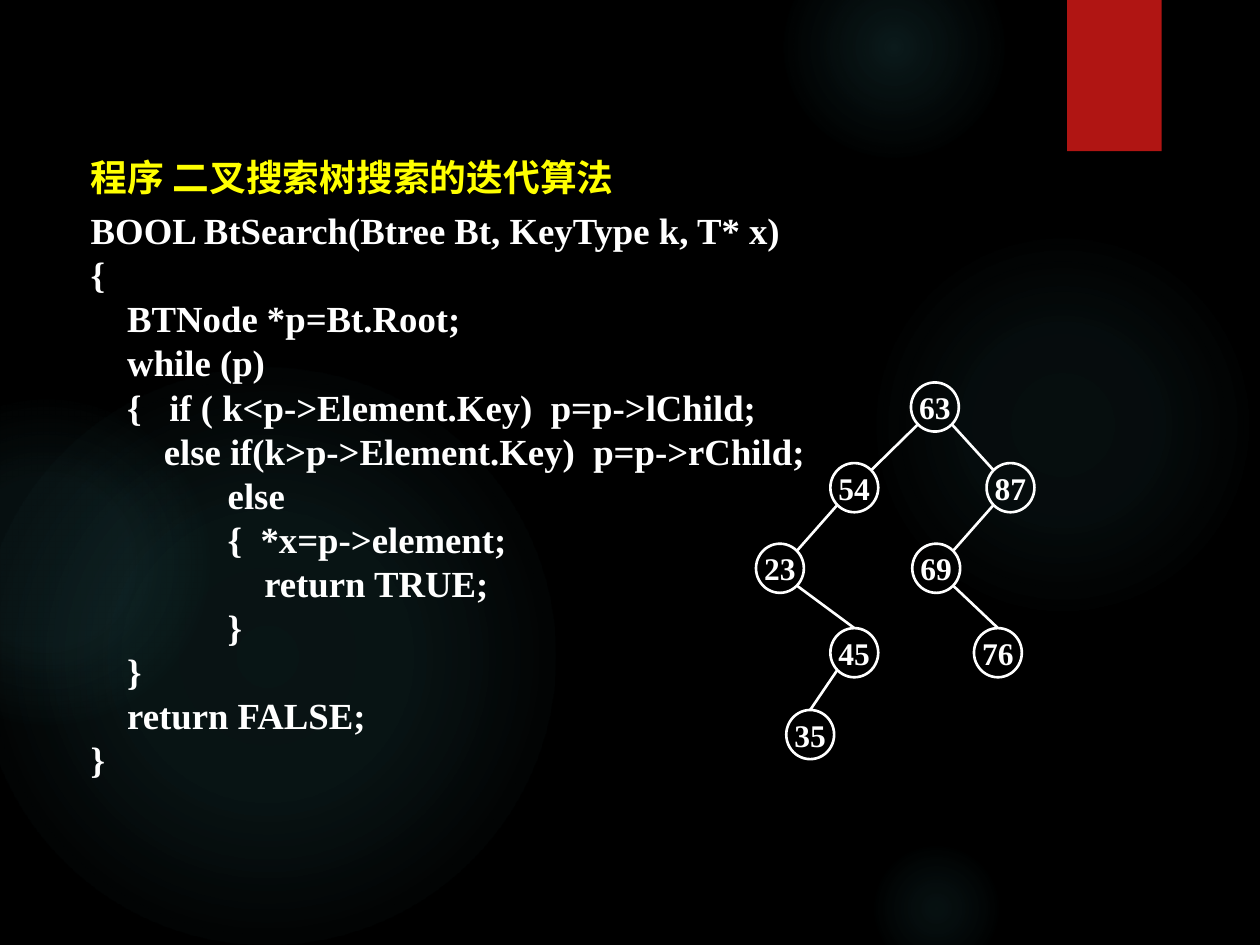
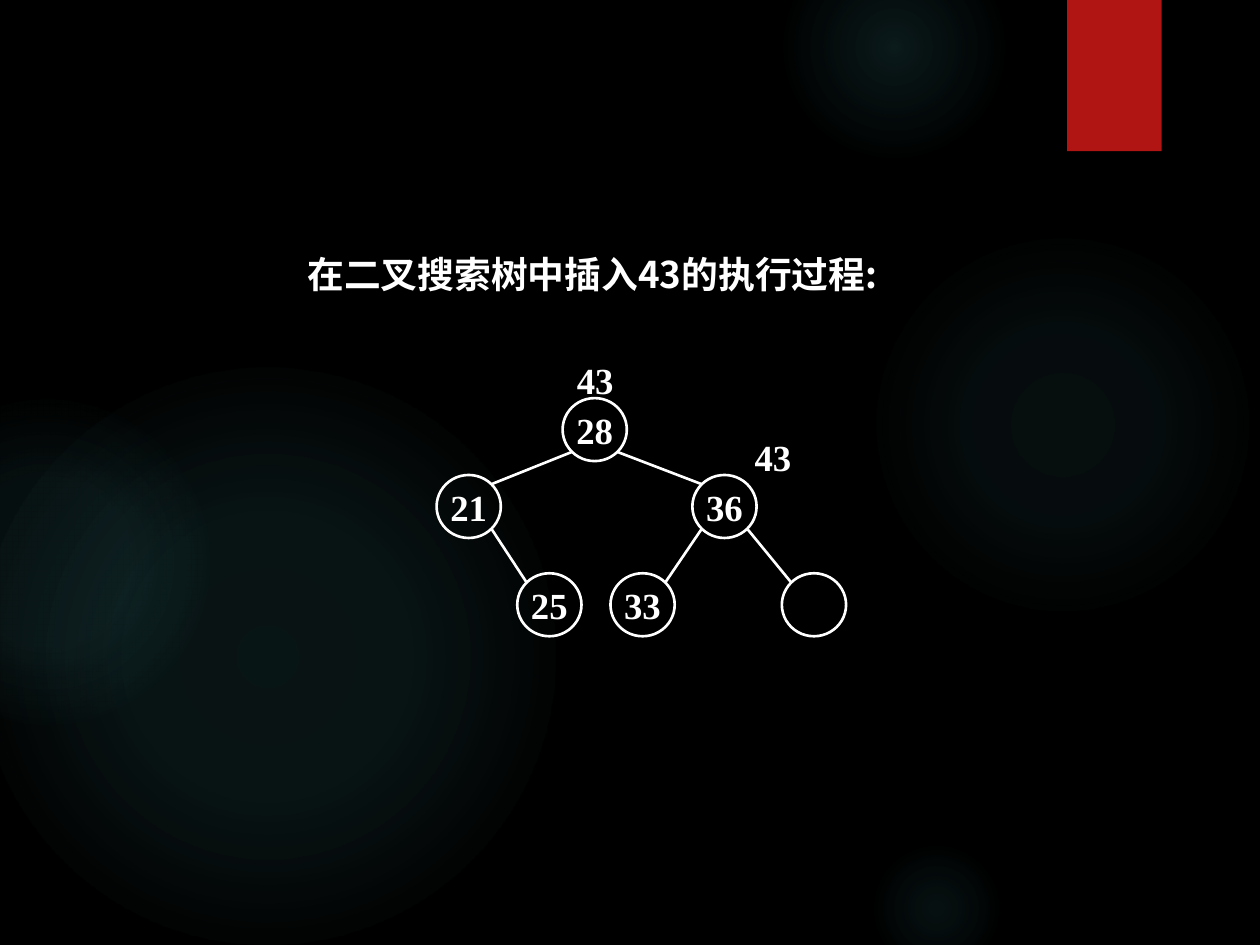
from math import sqrt

from lxml import etree
from pptx import Presentation
from pptx.dml.color import RGBColor
from pptx.enum.shapes import MSO_CONNECTOR as Link, MSO_SHAPE as Preset
from pptx.enum.text import MSO_ANCHOR as Anchor, MSO_AUTO_SIZE as Fit, PP_ALIGN as Align
from pptx.oxml import parse_xml
from pptx.oxml.ns import nsdecls, qn
from pptx.util import Inches, Pt

# ---- Shared look ----
WIDTH, HEIGHT = 10, 7.5
BLACK, WHITE, YELLOW, RED, TEAL = "000000", "FFFFFF", "FFFF00", "B01513", "50B9C1"
SERIF, HAN = "Times New Roman", "Noto Sans CJK SC"
TEXT_SIZE, LINE_PITCH = 21, 25.2
INDENT = 0.29  # one code level, four spaces wide
DIAGONAL = sqrt(0.5)

# left, top, diameter, then (position %, opacity %) of each stop
GLOWS = [
    (6.89, 1.83, 3.08, [(0, 7), (36, 6), (69, 0)]),
    (6.22, -0.5, 1.75, [(0, 14), (36, 7), (73, 0)]),
    (6.89, 6.67, 1.08, [(0, 9), (36, 5), (66, 0)]),
    (-0.17, 2.92, 4.58, [(0, 11), (36, 10), (75, 0)]),
    (-0.92, 3.17, 2.58, [(0, 8), (36, 8), (72, 0)]),
]
RIBBON = (8.47, 0, 0.75, 1.2)

# ---- Slide 1: iterative search ----
SEARCH_TITLE = "程序 二叉搜索树搜索的迭代算法"
SEARCH_CODE = [  # indent level, line
    (1, "BOOL BtSearch(Btree Bt, KeyType k, T* x)"),
    (1, "{"),
    (2, "BTNode *p=Bt.Root;"),
    (2, "while (p)"),
    (2, "{   if ( k<p->Element.Key)  p=p->lChild;"),
    (3, "else if(k>p->Element.Key)  p=p->rChild;"),
    (4.75, "else"),
    (4.75, "{  *x=p->element;"),
    (5.75, "return TRUE;"),
    (4.75, "}"),
    (2, "}"),
    (2, "return FALSE;"),
    (1, "}"),
]
# nodes: key -> (centre x, row); edges: parent, child, where the child is met
SEARCH_TREE = {
    "size": (0.38, 0.39), "font": 18,
    "rows": [3.23, 3.87, 4.51, 5.18, 5.83],
    "nodes": {"63": (7.42, 0), "54": (6.78, 1), "87": (8.02, 1), "23": (6.19, 2),
              "69": (7.43, 2), "45": (6.78, 3), "76": (7.92, 3), "35": (6.43, 4)},
    "edges": [("63", "54", "side"), ("63", "87", "side"), ("54", "23", "side"),
              ("87", "69", "side"), ("23", "45", "top"), ("69", "76", "top"),
              ("45", "35", "top")],
}

# ---- Slide 2: insertion ----
INSERT_TITLE = "在二叉搜索树中插入43的执行过程:"
INSERT_TREE = {
    "size": (0.51, 0.5), "font": TEXT_SIZE,
    "rows": [3.41, 4.02, 4.8],
    "nodes": {"28": (4.72, 0), "21": (3.72, 1), "36": (5.75, 1),
              "25": (4.36, 2), "33": (5.1, 2), "": (6.46, 2)},
    "edges": [("28", "21", "side"), ("28", "36", "side"), ("21", "25", "side"),
              ("36", "33", "side"), ("36", "", "side")],
}
INSERTED_KEY = "43"
KEY_STOPS = [(4.48, 2.79), (5.89, 3.4)]


def rgb(color):
    return RGBColor.from_string(color)


def box(*lengths):
    return [Inches(length) for length in lengths]


def write(paragraph, text, size=TEXT_SIZE, color=WHITE, font=SERIF):
    run = paragraph.add_run()
    run.text = text
    run.font.size, run.font.bold, run.font.name = Pt(size), True, font
    run.font.color.rgb = rgb(color)
    etree.SubElement(run.font._element, qn("a:ea")).set("typeface", HAN)


def place(holder, left, top, width, height):
    """Move a placeholder and return its top-anchored text frame."""
    holder.left, holder.top, holder.width, holder.height = box(left, top, width, height)
    frame = holder.text_frame
    frame.word_wrap, frame.auto_size = True, Fit.NONE
    frame.vertical_anchor = Anchor.TOP
    return frame


def add_title(slide, text, area, level=0, **style):
    heading = place(slide.shapes.title, *area).paragraphs[0]
    heading.alignment = Align.LEFT
    heading._p.get_or_add_pPr().set("indent", str(Inches(level * INDENT)))
    write(heading, text, **style)


def add_code(holder, lines, area):
    frame = place(holder, *area)
    for number, (level, line) in enumerate(lines):
        row = frame.add_paragraph() if number else frame.paragraphs[0]
        row.space_before, row.line_spacing = Pt(0), Pt(LINE_PITCH)
        props = row._p.get_or_add_pPr()
        props.set("marL", "0")
        props.set("indent", str(Inches(level * INDENT)))
        etree.SubElement(props, qn("a:buNone"))
        write(row, line)


def add_plain(slide, preset, area):
    shape = slide.shapes.add_shape(preset, *box(*area))
    shape.shadow.inherit = False
    shape.line.fill.background()
    return shape


def add_backdrop(prs, slide):
    """Build glows and ribbon once, then hand them to the slide master."""
    master = prs.slide_master
    master.background.fill.solid()
    master.background.fill.fore_color.rgb = rgb(BLACK)
    decor = []
    for left, top, diameter, stops in GLOWS:
        glow = add_plain(slide, Preset.OVAL, (left, top, diameter, diameter))
        marks = "".join(
            f'<a:gs pos="{pos * 1000}"><a:srgbClr val="{TEAL}">'
            f'<a:alpha val="{alpha * 1000}"/></a:srgbClr></a:gs>' for pos, alpha in stops)
        gradient = parse_xml(
            f'<a:gradFill {nsdecls("a")}><a:gsLst>{marks}</a:gsLst><a:path path="circle">'
            '<a:fillToRect l="50000" t="50000" r="50000" b="50000"/></a:path></a:gradFill>')
        glow._element.spPr.find(qn("a:prstGeom")).addnext(gradient)
        decor.append(glow)
    ribbon = add_plain(slide, Preset.RECTANGLE, RIBBON)
    ribbon.fill.solid()
    ribbon.fill.fore_color.rgb = rgb(RED)
    decor.append(ribbon)
    for order, part in enumerate(decor):
        part._element.nvSpPr.cNvPr.set("id", str(100 + order))
        master.shapes.element.insert(2 + order, part._element)


def outline(part):
    part.line.color.rgb, part.line.width = rgb(WHITE), Pt(1.5)


def add_tree(slide, tree):
    wide, high = tree["size"]
    centres = {key: (x, tree["rows"][row]) for key, (x, row) in tree["nodes"].items()}

    for key, (x, y) in centres.items():
        node = add_plain(slide, Preset.OVAL, (x - wide / 2, y - high / 2, wide, high))
        node.fill.background()
        outline(node)
        if key:
            frame = node.text_frame
            frame.word_wrap, frame.vertical_anchor = False, Anchor.MIDDLE
            frame.margin_left = frame.margin_right = Inches(0.07)
            frame.margin_top = frame.margin_bottom = Inches(0.04)
            frame.paragraphs[0].alignment = Align.CENTER
            write(frame.paragraphs[0], key, size=tree["font"])

    # Edges leave the parent's lower diagonal and meet the child's top or upper diagonal
    reach_x, reach_y = wide / 2 * DIAGONAL, high / 2 * DIAGONAL
    for parent, child, met_at in tree["edges"]:
        (px, py), (cx, cy) = centres[parent], centres[child]
        side = 1 if cx > px else -1
        if met_at == "top":
            end = (cx, cy - high / 2)
        else:
            end = (cx - side * reach_x, cy - reach_y)
        edge = slide.shapes.add_connector(
            Link.STRAIGHT, *box(px + side * reach_x, py + reach_y, *end))
        outline(edge)
        etree.SubElement(edge._element.spPr, qn("a:effectLst"))


def main():
    prs = Presentation()
    prs.slide_width, prs.slide_height = box(WIDTH, HEIGHT)

    # Slide 1
    search = prs.slides.add_slide(prs.slide_layouts[1])
    add_backdrop(prs, search)
    add_title(search, SEARCH_TITLE, (0.33, 1.18, 6.26, 0.45), level=1, color=YELLOW)
    add_code(search.placeholders[1], SEARCH_CODE, (0.33, 1.6, 6.26, 4.66))
    add_tree(search, SEARCH_TREE)

    # Slide 2
    insert = prs.slides.add_slide(prs.slide_layouts[5])
    add_title(insert, INSERT_TITLE, (2.34, 1.95, 5, 0.45), font=HAN)
    add_tree(insert, INSERT_TREE)
    for left, top in KEY_STOPS:
        label = insert.shapes.add_textbox(*box(left, top, 0.5, 0.45))
        label.text_frame.word_wrap = False
        write(label.text_frame.paragraphs[0], INSERTED_KEY)

    prs.save("out.pptx")


if __name__ == "__main__":
    main()
